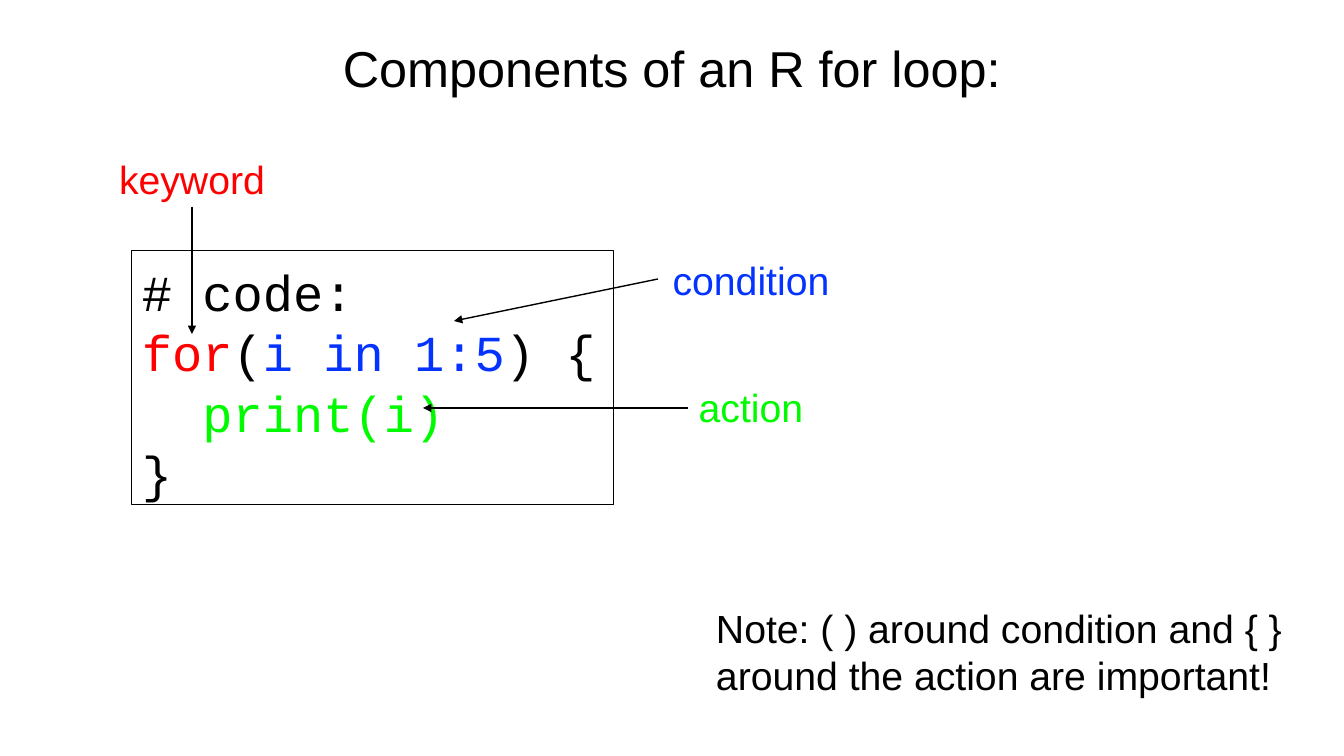
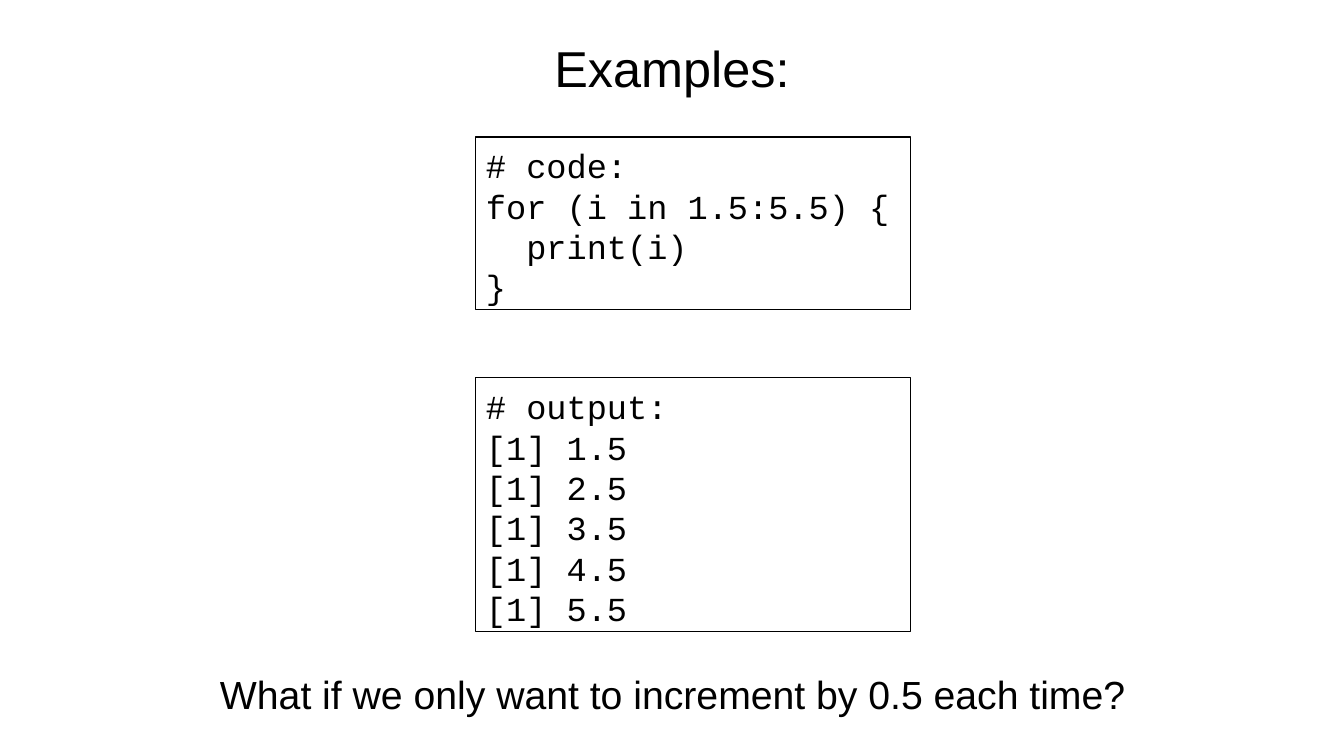
import pptx
import pptx.util
import pptx.dml.color
import pptx.enum.shapes
import pptx.enum.text
import pptx.oxml.ns
from dataclasses import dataclass
from lxml import etree

# Content: a code line is (indent in characters, [(text, colour name), ...])
SLIDES = [
    {
        "title": "Components of an R for loop:",
        "codes": [((132, 251, 482, 254), "large", [
            (0, [("# code:", "black")]),
            (0, [("for", "red"), ("(", "black"), ("i in 1:5", "blue"), (") {", "black")]),
            (2, [("print(i)", "green")]),
            (0, [("}", "black")]),
        ])],
        "labels": [
            ((55, 150, 274, 57), "keyword", "red", "center"),
            ((614, 251, 274, 57), "condition", "blue", "center"),
            ((614, 378, 274, 57), "action", "green", "center"),
            ((706, 599, 607, 105),
             "Note: ( ) around condition and { } around the action are important!",
             "black", "left"),
        ],
        "arrows": [(192, 207, 192, 334), (658, 279, 454, 321), (688, 408, 423, 408)],
    },
    {
        "title": "Examples:",
        "codes": [
            ((476, 137, 435, 173), "small", [
                (0, [("# code:", "black")]),
                (0, [("for (i in 1.5:5.5) {", "black")]),
                (2, [("print(i)", "black")]),
                (0, [("}", "black")]),
            ]),
            ((476, 378, 435, 254), "small",
             [(0, [("# output:", "black")])]
             + [(0, [(f"[1] {n}.5", "black")]) for n in range(1, 6)]),
        ],
        "labels": [((200, 665, 945, 57),
                    "What if we only want to increment by 0.5 each time?",
                    "black", "center")],
        "arrows": [],
    },
]


@dataclass(frozen=True)
class Theme:
    """Colours, fonts and sizes shared by the slides."""
    black: str = "000000"
    red: str = "FF0000"
    blue: str = "0432FF"
    green: str = "00FA00"
    sans: str = "Arial"
    mono: str = "Courier New"
    large: int = 36
    body: int = 28
    small: int = 24
    lead: float = 1.2
    char: float = 0.6
    drop: float = 0.1
    frame: float = 0.75
    arrow: float = 1


THEME = Theme()
WIDE, HIGH = 1344, 756
UNIT = pptx.util.Inches(1) / 100.8
TITLE = (127, 32, 1090, 72)
PAD_X, PAD_Y = 10, 5
ALIGN = {"left": pptx.enum.text.PP_ALIGN.LEFT, "center": pptx.enum.text.PP_ALIGN.CENTER}


def emu(*pixels):
    """Turn pixels into EMU lengths."""
    return [pptx.util.Emu(round(n * UNIT)) for n in pixels]


def tint(name):
    """Look up a theme colour by name."""
    return pptx.dml.color.RGBColor.from_string(getattr(THEME, name))


def write(shape, lines, font=THEME.sans, size=THEME.body, align="left", drop=0):
    """Fill a shape with lines of coloured runs."""
    frame = shape.text_frame
    frame.word_wrap = True
    frame.auto_size = pptx.enum.text.MSO_AUTO_SIZE.NONE
    frame.vertical_anchor = pptx.enum.text.MSO_ANCHOR.TOP
    frame.margin_left, frame.margin_right, frame.margin_bottom = emu(PAD_X, PAD_X, PAD_Y)
    frame.margin_top = emu(PAD_Y)[0] + pptx.util.Pt(size * drop)
    for i, (indent, runs) in enumerate(lines):
        para = frame.paragraphs[0] if i == 0 else frame.add_paragraph()
        para.alignment = ALIGN[align]
        para.line_spacing = pptx.util.Pt(size * THEME.lead)
        if indent:
            props = para._p.get_or_add_pPr()
            props.set("marL", str(pptx.util.Pt(indent * THEME.char * size)))
            props.set("indent", "0")
        for text, color in runs:
            run = para.add_run()
            run.text = text
            run.font.name = font
            run.font.size = pptx.util.Pt(size)
            run.font.color.rgb = tint(color)


def head(slide, text):
    """Place and format the slide title."""
    title = slide.shapes.title
    title.left, title.top, title.width, title.height = emu(*TITLE)
    write(title, [(0, [(text, "black")])], size=THEME.large, align="center")


def code(slide, box, size, lines):
    """Draw a framed block of code."""
    kind = pptx.enum.shapes.MSO_SHAPE.RECTANGLE
    shape = slide.shapes.add_shape(kind, *emu(*box))
    shape.shadow.inherit = False
    shape.fill.background()
    shape.line.color.rgb = tint("black")
    shape.line.width = pptx.util.Pt(THEME.frame)
    write(shape, lines, font=THEME.mono, size=getattr(THEME, size), drop=THEME.drop)


def label(slide, box, text, color, align):
    """Add a plain line of text."""
    write(slide.shapes.add_textbox(*emu(*box)), [(0, [(text, color)])], align=align)


def arrow(slide, *ends):
    """Draw an arrow from the first point to the second."""
    kind = pptx.enum.shapes.MSO_CONNECTOR.STRAIGHT
    line = slide.shapes.add_connector(kind, *emu(*ends))
    line.line.color.rgb = tint("black")
    line.line.width = pptx.util.Pt(THEME.arrow)
    qn = pptx.oxml.ns.qn
    etree.SubElement(line.line._get_or_add_ln(), qn("a:tailEnd"), type="triangle")
    etree.SubElement(line._element.spPr, qn("a:effectLst"))


def build():
    """Build and save the deck."""
    deck = pptx.Presentation()
    deck.slide_width, deck.slide_height = emu(WIDE, HIGH)
    for page in SLIDES:
        slide = deck.slides.add_slide(deck.slide_layouts[5])
        head(slide, page["title"])
        for item in page["codes"]:
            code(slide, *item)
        for item in page["labels"]:
            label(slide, *item)
        for ends in page["arrows"]:
            arrow(slide, *ends)
    deck.save("out.pptx")


build()
